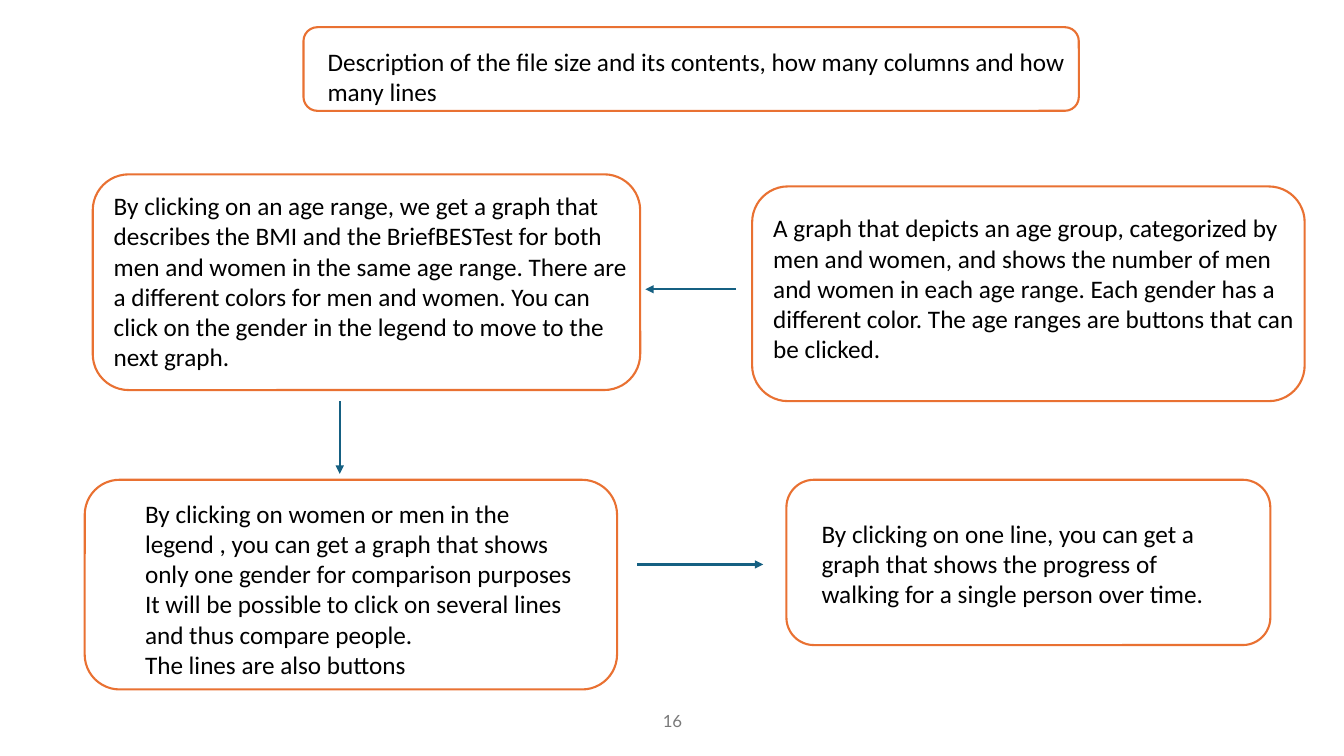
import pptx
import pptx.dml.color
import pptx.enum.shapes
import pptx.enum.text
import pptx.oxml.ns
import pptx.util
from lxml import etree

ORANGE = pptx.dml.color.RGBColor(0xE9, 0x71, 0x32)
TEAL = pptx.dml.color.RGBColor(0x15, 0x60, 0x82)
BLACK = pptx.dml.color.RGBColor(0x00, 0x00, 0x00)
GRAY = pptx.dml.color.RGBColor(0x79, 0x79, 0x79)

EMU_PER_PX = 9144  # 100 px to the inch


def px(*lengths):
    return [pptx.util.Emu(length * EMU_PER_PX) for length in lengths]


class FlowSlide:
    """Style of the flow diagram together with the slide being drawn."""

    font = "Calibri"
    text_size = 18
    line_width = pptx.util.Pt(1.5)

    def __init__(self, presentation):
        self.slide = presentation.slides.add_slide(presentation.slide_layouts[6])

    def text(self, box, lines):
        """Add a text box that grows with its lines, which share one paragraph."""
        frame = self.slide.shapes.add_textbox(*px(*box)).text_frame
        frame.word_wrap = True
        frame.auto_size = pptx.enum.text.MSO_AUTO_SIZE.SHAPE_TO_FIT_TEXT
        paragraph = frame.paragraphs[0]
        for index, line in enumerate(lines):
            if index:
                paragraph.add_line_break()
            self.run(paragraph, line, self.font, self.text_size, BLACK)

    def run(self, paragraph, text, font, size, color):
        run = paragraph.add_run()
        run.text = text
        run.font.name = font
        run.font.size = pptx.util.Pt(size)
        run.font.color.rgb = color

    def page_number(self, box, number):
        frame = self.slide.shapes.add_textbox(*px(*box)).text_frame
        frame.word_wrap = True
        frame.vertical_anchor = pptx.enum.text.MSO_ANCHOR.MIDDLE
        paragraph = frame.paragraphs[0]
        paragraph.alignment = pptx.enum.text.PP_ALIGN.CENTER
        self.run(paragraph, number, "Lato", 12, GRAY)

    def outline(self, box):
        """Add an unfilled rounded frame."""
        shape = self.slide.shapes.add_shape(
            pptx.enum.shapes.MSO_SHAPE.ROUNDED_RECTANGLE, *px(*box))
        shape.shadow.inherit = False
        shape.fill.background()
        shape.line.color.rgb = ORANGE
        shape.line.width = self.line_width

    def arrow(self, start, end):
        connector = self.slide.shapes.add_connector(
            pptx.enum.shapes.MSO_CONNECTOR.STRAIGHT, *px(*start, *end))
        connector.line.color.rgb = TEAL
        connector.line.width = self.line_width
        line = connector.line._get_or_add_ln()
        etree.SubElement(line, pptx.oxml.ns.qn("a:tailEnd"), type="triangle")
        properties = connector._element.spPr
        etree.SubElement(properties, pptx.oxml.ns.qn("a:effectLst"))


# Each step: frame box, text box, lines
STEPS = [
    ((301, 27, 769, 83), (315, 41, 769, 71), [
        "Description of the file size and its contents, how many columns "
        "and how many lines"]),
    ((746, 185, 548, 213), (757, 206, 545, 162), [
        "A graph that depicts an age group, categorized by men and women, "
        "and shows the number of men and women in each age range. Each gender "
        "has a different color. The age ranges are buttons that can be clicked."]),
    ((92, 173, 543, 214), (103, 184, 537, 192), [
        "By clicking on an age range, we get a graph that describes the BMI "
        "and the BriefBESTest for both men and women in the same age range. "
        "There are a different colors for men and women. You can click on the "
        "gender in the legend to move to the next graph."]),
    ((84, 476, 528, 208), (134, 489, 450, 192), [
        "By clicking on women or men in the legend , you can get a graph that "
        "shows only one gender for comparison purposes It will be possible to "
        "click on several lines and thus compare people. ",
        "The lines are also buttons"]),
    ((780, 476, 480, 164), (805, 509, 430, 101), [
        "By clicking on one line, you can get a graph that shows the progress "
        "of walking for a single person over time."]),
]

ARROWS = [
    ((730, 287), (640, 287)),
    ((337, 398), (337, 470)),
    ((632, 560), (757, 560)),
]


def main():
    presentation = pptx.Presentation()
    presentation.slide_width, presentation.slide_height = px(1333, 750)
    flow = FlowSlide(presentation)
    flow.page_number((442, 695, 450, 40), "16")
    for frame_box, text_box, lines in STEPS:
        flow.outline(frame_box)
        flow.text(text_box, lines)
    for start, end in ARROWS:
        flow.arrow(start, end)
    presentation.save("out.pptx")


if __name__ == "__main__":
    main()
